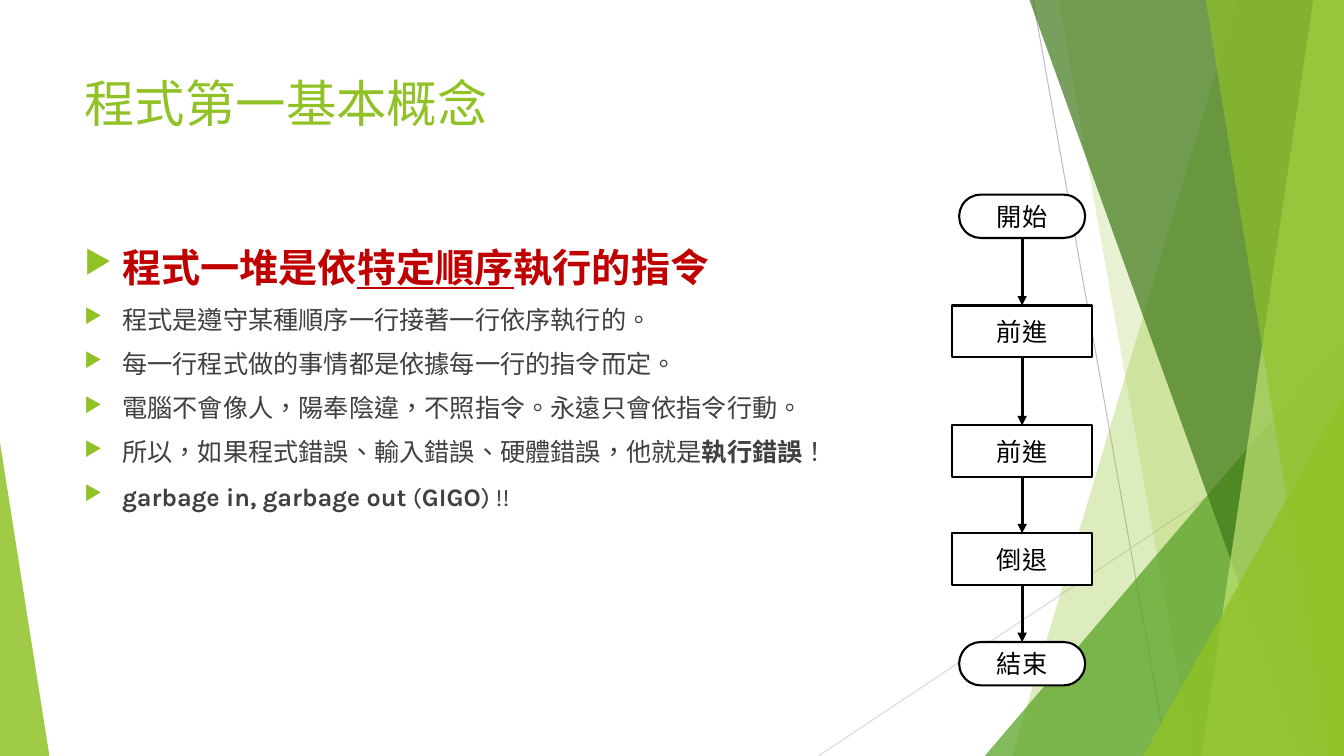
from dataclasses import dataclass
from typing import Any

from pptx import Presentation
from pptx import util as u
from pptx.dml.color import RGBColor
from pptx.enum import lang, shapes, text
from pptx.oxml import ns, xmlchemy as xc

Pt = u.Pt
WIDE, HIGH = 960, 540


@dataclass(frozen=True)
class Theme:
    font: str = "Karla"
    green: str = "90C226"
    leaf: str = "54A021"
    deep: str = "3F7819"
    lime: str = "C0E474"
    red: str = "C00000"
    ink: str = "404040"
    black: str = "000000"
    white: str = "FFFFFF"
    gray: str = "BFBFBF"
    pale: str = "D9D9D9"
    title: int = 36
    lead: int = 28
    body: int = 18


@dataclass(frozen=True)
class Band:
    """Panel reaching the right edge; its left side runs from top to foot."""
    top: float
    foot: float
    color: str
    alpha: int


@dataclass(frozen=True)
class Wedge:
    """Right triangle standing on the slide's lower edge."""
    left: float
    top: float
    wide: float
    apex: float
    color: str
    alpha: int


@dataclass(frozen=True)
class Run:
    text: str
    bold: bool = False
    under: bool = False


@dataclass(frozen=True)
class Item:
    runs: list[Run]
    size: int
    color: str


@dataclass(frozen=True)
class Step:
    label: str
    top: float
    end: bool = False

    @property
    def wide(self) -> float:
        return 90 if self.end else 100

    @property
    def high(self) -> float:
        return 31 if self.end else 36.7


T = Theme()

DECOR = [
    Band(884.2, 722.9, T.green, 30),
    Band(756, 851.8, T.green, 20),
    Wedge(703.4, 239.8, 256.6, 1, T.leaf, 72),
    Band(735.1, 929.5, T.deep, 70),
    Band(938.2, 858.2, T.lime, 70),
    Band(861.1, 949, T.green, 65),
    Wedge(816.5, 283, 143.5, 1, T.green, 80),
    Wedge(0, 316.1, 35.3, 0, T.green, 85),
]

TITLE = [Item([Run("程式第一基本概念")], T.title, T.green)]

LEAD = [Run("程式一堆是依", True), Run("特定順序", True, True), Run("執行的指令", True)]
POINTS = [
    [Run("程式是遵守某種順序一行接著一行依序執行的。")],
    [Run("每一行程式做的事情都是依據每一行的指令而定。")],
    [Run("電腦不會像人，陽奉陰違，不照指令。永遠只會依指令行動。")],
    [Run("所以，如果程式錯誤、輸入錯誤、硬體錯誤，他就是"),
     Run("執行錯誤", True), Run("！")],
    [Run("garbage in, garbage out", True), Run(" ("), Run("GIGO", True), Run(") !!")],
]
BODY = [Item(LEAD, T.lead, T.red)] + [Item(p, T.body, T.ink) for p in POINTS]

AXIS = 730.1
STEPS = [
    Step("開始", 139, True),
    Step("前進", 218.2),
    Step("前進", 303.8),
    Step("倒退", 380.9),
    Step("結束", 458.6, True),
]


def rgb(code: str) -> RGBColor:
    return RGBColor.from_string(code)


def node(home: Any, tag: str, **attrs: str) -> Any:
    part = xc.OxmlElement(tag)
    for key, val in attrs.items():
        part.set(key, val)
    home.append(part)
    return part


def paint(shape: Any, color: str, alpha: int) -> None:
    shape.shadow.inherit = False
    shape.fill.solid()
    shape.fill.fore_color.rgb = rgb(color)
    shape.line.fill.background()
    tint = shape.element.spPr.find(ns.qn("a:solidFill"))[0]
    node(tint, "a:alpha", val=str(alpha * 1000))


def bullet(para: Any) -> None:
    props = para._p.get_or_add_pPr()
    props.set("marL", str(Pt(27)))
    props.set("indent", str(-Pt(27)))
    node(node(props, "a:buClr"), "a:srgbClr", val=T.green)
    node(props, "a:buSzPct", val="80000")
    node(props, "a:buChar", char="▶")


def write(frame: Any, items: list[Item], *, marks: bool = False, gap: float = 0,
          align: Any = None, anchor: Any = text.MSO_ANCHOR.TOP) -> None:
    frame.word_wrap = True
    frame.vertical_anchor = anchor
    for i, item in enumerate(items):
        para = frame.add_paragraph() if i else frame.paragraphs[0]
        if marks:
            bullet(para)
        para.space_before = Pt(gap if i else 0)
        para.alignment = align
        for part in item.runs:
            run = para.add_run()
            run.text = part.text
            font = run.font
            font.name, font.size = T.font, Pt(item.size)
            font.bold, font.underline = part.bold, part.under
            font.color.rgb = rgb(item.color)
            font.language_id = lang.MSO_LANGUAGE_ID.TRADITIONAL_CHINESE


def line(slide: Any, x1: float, y1: float, x2: float, y2: float, *,
         color: str, width: float, arrow: bool = False) -> None:
    link = slide.shapes.add_connector(
        shapes.MSO_CONNECTOR.STRAIGHT, Pt(x1), Pt(y1), Pt(x2), Pt(y2))
    link.line.color.rgb = rgb(color)
    link.line.width = Pt(width)
    if arrow:
        node(link.line._get_or_add_ln(), "a:tailEnd", type="triangle")
    node(link.element.spPr, "a:effectLst")


def band(slide: Any, b: Band) -> None:
    top = Pt(-0.7)
    pen = slide.shapes.build_freeform(Pt(b.top), top)
    pen.add_line_segments(
        [(Pt(WIDE), top), (Pt(WIDE), Pt(HIGH)), (Pt(b.foot), Pt(HIGH))], close=True)
    paint(pen.convert_to_shape(), b.color, b.alpha)


def wedge(slide: Any, w: Wedge) -> None:
    shape = slide.shapes.add_shape(
        shapes.MSO_SHAPE.ISOSCELES_TRIANGLE,
        Pt(w.left), Pt(w.top), Pt(w.wide), Pt(HIGH - w.top))
    shape.adjustments[0] = w.apex
    paint(shape, w.color, w.alpha)


def step(slide: Any, s: Step) -> None:
    kind = shapes.MSO_SHAPE.ROUNDED_RECTANGLE if s.end else shapes.MSO_SHAPE.RECTANGLE
    box = slide.shapes.add_shape(
        kind, Pt(AXIS - s.wide / 2), Pt(s.top), Pt(s.wide), Pt(s.high))
    if s.end:
        box.adjustments[0] = 0.5
    paint(box, T.white, 100)
    box.line.color.rgb = rgb(T.black)
    box.line.width = Pt(1.5)
    write(box.text_frame, [Item([Run(s.label)], T.body, T.black)],
          align=text.PP_ALIGN.CENTER, anchor=text.MSO_ANCHOR.MIDDLE)


def main() -> None:
    deck = Presentation()
    deck.slide_width, deck.slide_height = Pt(WIDE), Pt(HIGH)
    slide = deck.slides.add_slide(deck.slide_layouts[6])

    # Backdrop
    line(slide, 738, 0, 833.8, HIGH, color=T.gray, width=0.75)
    line(slide, WIDE, 290.2, 584.6, HIGH, color=T.pale, width=0.75)
    for part in DECOR:
        if isinstance(part, Band):
            band(slide, part)
        else:
            wedge(slide, part)

    # Title and points
    head = slide.shapes.add_textbox(Pt(53.3), Pt(48.2), Pt(676.8), Pt(103.7))
    write(head.text_frame, TITLE)
    body = slide.shapes.add_textbox(Pt(53.3), Pt(169.9), Pt(676.8), Pt(305.3))
    write(body.text_frame, BODY, marks=True, gap=10)

    # Flowchart
    for s in STEPS:
        step(slide, s)
    for a, b in zip(STEPS, STEPS[1:]):
        line(slide, AXIS, a.top + a.high, AXIS, b.top,
             color=T.black, width=2.25, arrow=True)

    deck.save("out.pptx")


if __name__ == "__main__":
    main()
